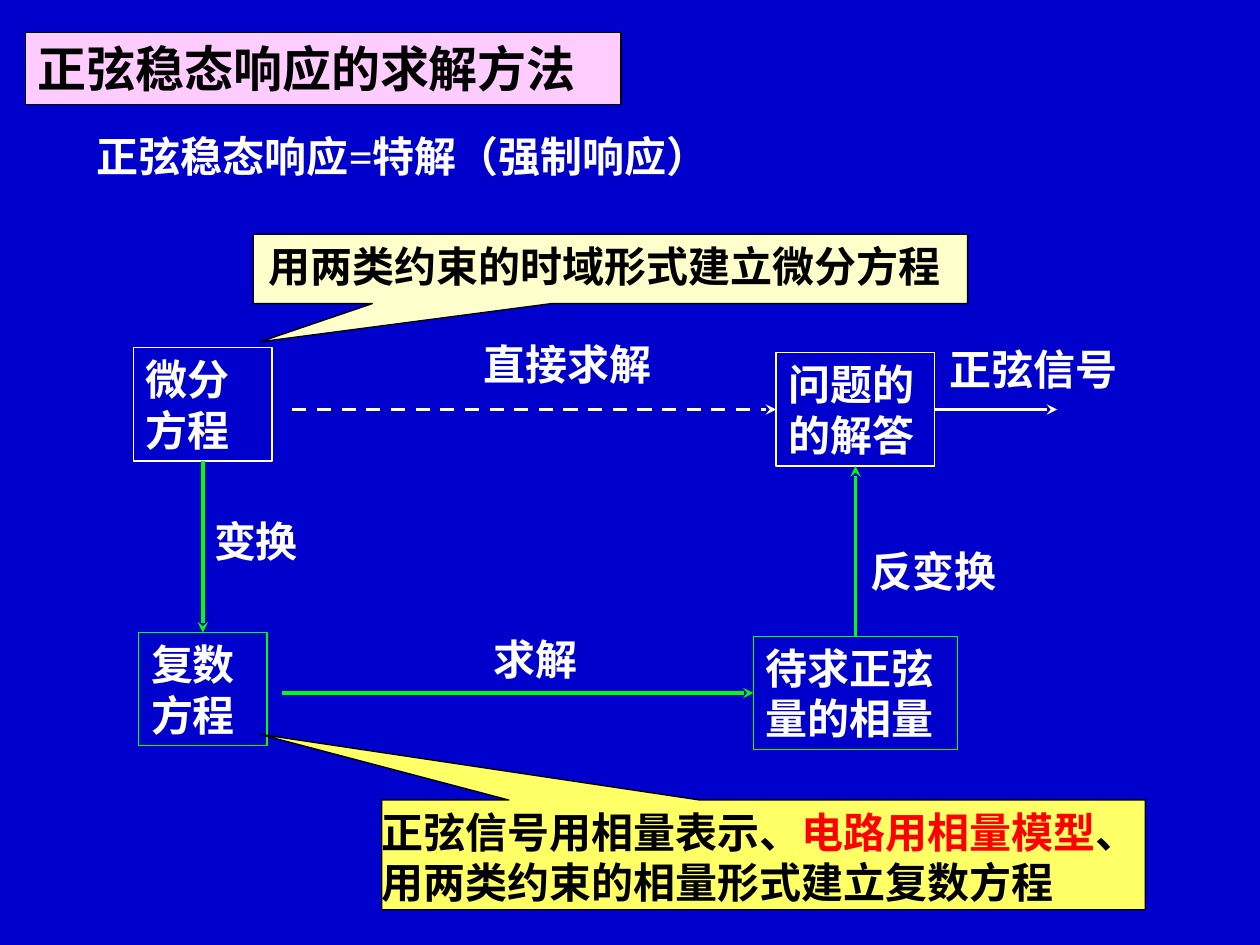
from pptx import Presentation
from pptx import util as u
from pptx.dml.color import RGBColor
from pptx.enum import dml, shapes, text
from pptx.oxml import ns
from lxml import etree

WHITE, BLACK, GREEN, RED = "FFFFFF", "000000", "00FF00", "FF0000"


def rgb(value):
    return RGBColor.from_string(value)


class Deck:
    font = {"name": "Times New Roman", "bold": True}
    frame = {"word_wrap": True, "vertical_anchor": text.MSO_ANCHOR.TOP}

    def __init__(self, width, height, background):
        self.prs = Presentation()
        self.prs.slide_width = u.Inches(width)
        self.prs.slide_height = u.Inches(height)
        self.s = self.prs.slides.add_slide(self.prs.slide_layouts[6])
        fill = self.s.background.fill
        fill.solid()
        fill.fore_color.rgb = rgb(background)

    def add_words(self, sp, runs, size=24, before=0, inset=0.1, grow=False):
        tf = sp.text_frame
        fit = text.MSO_AUTO_SIZE.SHAPE_TO_FIT_TEXT if grow else text.MSO_AUTO_SIZE.NONE
        values = {
            **self.frame, "auto_size": fit,
            "margin_left": u.Inches(inset), "margin_right": u.Inches(inset),
            "margin_top": u.Inches(0.05), "margin_bottom": u.Inches(0.05),
        }
        for name, value in values.items():
            setattr(tf, name, value)
        p = tf.paragraphs[0]
        p.alignment = text.PP_ALIGN.LEFT
        p.space_before = u.Pt(before)
        for words, color in runs:
            r = p.add_run()
            r.text = words
            for name, value in {**self.font, "size": u.Pt(size)}.items():
                setattr(r.font, name, value)
            r.font.color.rgb = rgb(color)

    def label(self, at, words):
        sp = self.s.shapes.add_textbox(*map(u.Inches, at))
        self.add_words(sp, [(words, WHITE)], before=15, grow=True)

    def shape(self, kind, at, line, fill=None):
        sp = self.s.shapes.add_shape(kind, *map(u.Inches, at))
        sp.shadow.inherit = False
        if fill:
            sp.fill.solid()
            sp.fill.fore_color.rgb = rgb(fill)
        else:
            sp.fill.background()
        sp.line.color.rgb = rgb(line)
        sp.line.width = u.Pt(0.75)
        return sp

    def box(self, at, words, line, fill=None, color=WHITE, size=24, before=15):
        sp = self.shape(shapes.MSO_SHAPE.RECTANGLE, at, line, fill)
        self.add_words(sp, [(words, color)], size, before, grow=True)
        return sp

    def callout(self, at, tip, fill, runs, inset):
        sp = self.shape(shapes.MSO_SHAPE.RECTANGULAR_CALLOUT, at, BLACK, fill)
        for i, value in enumerate(tip):
            sp.adjustments[i] = value
        self.add_words(sp, runs, inset=inset)

    def arrow(self, start, end, color, begin=None, finish=None, dashed=False):
        sp = self.s.shapes.add_connector(
            shapes.MSO_CONNECTOR.STRAIGHT, *map(u.Inches, start + end))
        if begin:
            sp.begin_connect(*begin)
        if finish:
            sp.end_connect(*finish)
        sp.line.color.rgb = rgb(color)
        sp.line.width = u.Pt(2)
        if dashed:
            sp.line.dash_style = dml.MSO_LINE.DASH
        props = sp.element.spPr
        etree.SubElement(props.find(ns.qn("a:ln")), ns.qn("a:tailEnd"), type="stealth")
        etree.SubElement(props, ns.qn("a:effectLst"))


def main():
    d = Deck(10, 7.5, "0000CC")
    d.box((0.2, 0.26, 4.73, 0.57), "正弦稳态响应的求解方法", BLACK,
          "FFCCFF", BLACK, size=28, before=17.5)

    differential = d.box((1.06, 2.76, 1.1, 0.9), "微分方程", WHITE)
    complex_eq = d.box((1.1, 5.02, 1.02, 0.9), "复数方程", GREEN)
    phasor = d.box((5.98, 5.05, 1.62, 0.9), "待求正弦量的相量", GREEN)
    answer = d.box((6.16, 2.8, 1.26, 0.9), "问题的的解答", WHITE)

    d.arrow((1.61, 3.66), (1.61, 5.02), GREEN, (differential, 2), (complex_eq, 0))
    d.arrow((2.24, 5.5), (5.98, 5.5), GREEN, finish=(phasor, 1))
    d.arrow((6.79, 5.05), (6.79, 3.7), GREEN, (phasor, 0), (answer, 2))
    d.arrow((2.32, 3.25), (6.16, 3.25), WHITE, finish=(answer, 1), dashed=True)
    d.arrow((7.42, 3.25), (8.39, 3.25), WHITE, begin=(answer, 3))

    for at, words in (
        ((0.67, 0.99, 5.12, 0.9), "正弦稳态响应=特解（强制响应）"),
        ((3.74, 2.64, 1.58, 0.5), "直接求解"),
        ((1.6, 4.04, 0.95, 0.5), "变换"),
        ((3.82, 4.98, 1.02, 0.5), "求解"),
        ((6.81, 4.28, 1.5, 0.5), "反变换"),
        ((7.44, 2.68, 1.58, 0.5), "正弦信号"),
    ):
        d.label(at, words)

    d.callout((2.01, 1.86, 5.67, 0.55), (-0.49, 1.05), "FFFFCC",
              [("用两类约束的时域形式建立微分方程", BLACK)], 0.12)
    d.callout((3.03, 6.35, 6.06, 0.87), (-0.66, -1.1), "FFFF66",
              [("正弦信号用相量表示、", BLACK), ("电路用相量模型", RED),
               ("、用两类约束的相量形式建立复数方程", BLACK)], 0)
    d.prs.save("out.pptx")


if __name__ == "__main__":
    main()
